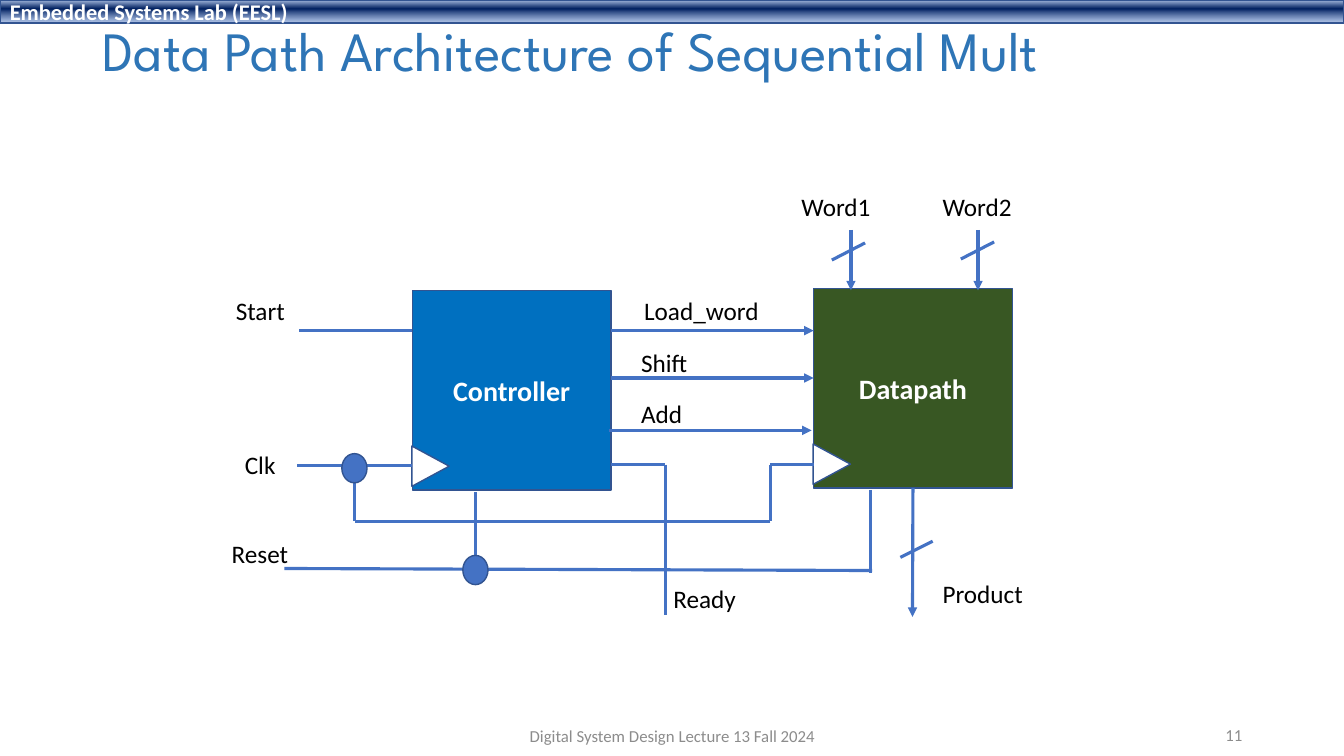
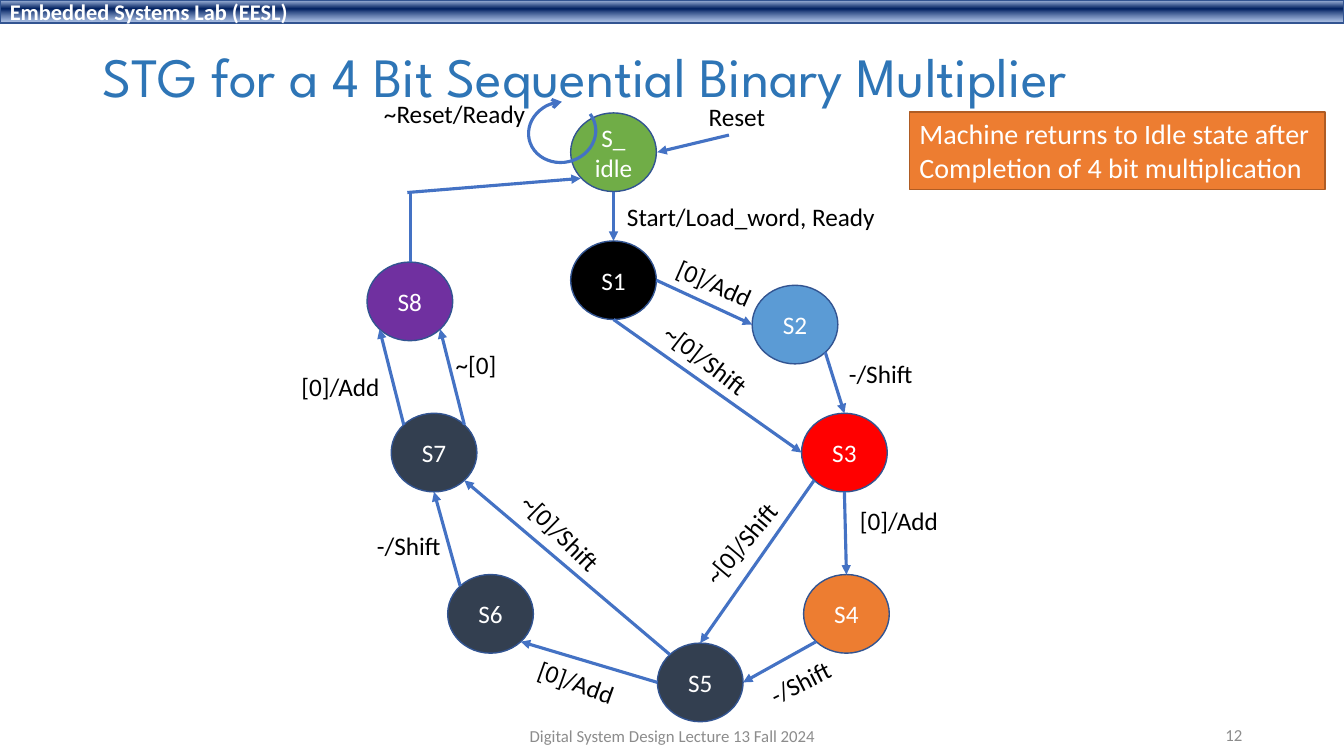
from math import sqrt

from lxml.etree import SubElement
from pptx import Presentation
from pptx.dml.color import RGBColor
from pptx.enum.shapes import MSO_CONNECTOR, MSO_SHAPE
from pptx.enum.text import MSO_ANCHOR, PP_ALIGN
from pptx.oxml import parse_xml
from pptx.oxml.ns import nsdecls, qn
from pptx.util import Pt

PX = 9144
BODY_FONT = "Calibri"
TITLE_FONT = "League Spartan"
WHITE = RGBColor(0xFF, 0xFF, 0xFF)
BLACK = RGBColor(0x00, 0x00, 0x00)
GREY = RGBColor(0x8C, 0x8C, 0x8C)
TITLE_BLUE = RGBColor(0x2E, 0x75, 0xB6)
OUTLINE = RGBColor(0x32, 0x54, 0x91)
WIRE = RGBColor(0x44, 0x72, 0xC4)
CONTROLLER_BLUE = RGBColor(0x00, 0x70, 0xC0)
DATAPATH_GREEN = RGBColor(0x38, 0x57, 0x23)
GREEN = RGBColor(0x70, 0xAD, 0x47)
SKY = RGBColor(0x5B, 0x9B, 0xD5)
RED = RGBColor(0xFF, 0x00, 0x00)
ORANGE = RGBColor(0xED, 0x7D, 0x31)
ORANGE_OUTLINE = RGBColor(0xAF, 0x5C, 0x24)
SLATE = RGBColor(0x33, 0x3F, 0x50)
PURPLE = RGBColor(0x70, 0x30, 0xA0)


def add_text(slide, text, box, preset=None, fill=None, outline=OUTLINE, outline_width=1,
             rotation=0, size=18, color=BLACK, bold=False, font=BODY_FONT,
             align=PP_ALIGN.LEFT, anchor=MSO_ANCHOR.TOP, wrap=False, line_spacing=None):
    left, top, width, height = (value * PX for value in box)
    if preset is None:
        shape = slide.shapes.add_textbox(left, top, width, height)
    else:
        shape = slide.shapes.add_shape(preset, left, top, width, height)
        shape.shadow.inherit = False
        if fill is None:
            shape.fill.background()
        else:
            shape.fill.solid()
            shape.fill.fore_color.rgb = fill
        shape.line.color.rgb = outline
        shape.line.width = Pt(outline_width)
    shape.rotation = rotation
    frame = shape.text_frame
    frame.word_wrap = wrap
    frame.vertical_anchor = anchor
    frame.text = text
    for paragraph in frame.paragraphs:
        paragraph.alignment = align
        paragraph.line_spacing = line_spacing
        for run in paragraph.runs:
            run.font.name = font
            run.font.size = Pt(size)
            run.font.bold = bold
            run.font.color.rgb = color
    return shape


def add_wire(slide, points, arrow=False):
    connector = slide.shapes.add_connector(
        MSO_CONNECTOR.STRAIGHT, *(round(value * PX) for value in points))
    connector.line.color.rgb = WIRE
    connector.line.width = Pt(2.25)
    if arrow:
        SubElement(connector.line._get_or_add_ln(), qn("a:tailEnd"), type="triangle")
    SubElement(connector._element.spPr, qn("a:effectLst"))
    return connector


presentation = Presentation()
presentation.slide_width = 1333 * PX
presentation.slide_height = 750 * PX
blank_layout = presentation.slide_layouts[6]

slides = []
for number, title, title_top, title_height in [
    (11, "Data Path Architecture of Sequential Mult", 15, 77),
    (12, "STG for a 4 Bit Sequential Binary Multiplier", 13, 131),
]:
    slide = presentation.slides.add_slide(blank_layout)
    slides.append(slide)
    add_text(slide, title, (92, title_top, 1150, title_height), size=39.6, color=TITLE_BLUE,
             font=TITLE_FONT, anchor=MSO_ANCHOR.MIDDLE, wrap=True, line_spacing=0.9)
    for text, box, align in [
        ("Digital System Design Lecture 13 Fall 2024", (442, 710, 450, 40), PP_ALIGN.CENTER),
        (str(number), (942, 709, 300, 40), PP_ALIGN.RIGHT),
    ]:
        add_text(slide, text, box, size=12, color=GREY, align=align,
                 anchor=MSO_ANCHOR.MIDDLE, wrap=True)

block_slide, state_slide = slides

band = add_text(block_slide, "Embedded Systems Lab (EESL)", (0, 0, 1333, 23),
                preset=MSO_SHAPE.RECTANGLE, size=16, color=WHITE, bold=True,
                anchor=MSO_ANCHOR.MIDDLE, wrap=True)
band_properties = band._element.spPr
band_properties.replace(band_properties.find(qn("a:noFill")), parse_xml(
    f'<a:gradFill {nsdecls("a")} rotWithShape="1"><a:gsLst>'
    '<a:gs pos="2000"><a:srgbClr val="ABC0E4"/></a:gs>'
    '<a:gs pos="38000"><a:srgbClr val="002060"/></a:gs>'
    '<a:gs pos="93000"><a:srgbClr val="7E9ED6"><a:alpha val="64000"/></a:srgbClr></a:gs>'
    '</a:gsLst><a:lin ang="5400000" scaled="0"/></a:gradFill>'))
band._element.nvSpPr.cNvPr.set("id", "20")
blank_layout.shapes._spTree.append(band._element)

blocks = {}
for name, left, top, fill in [
    ("Controller", 409, 288, CONTROLLER_BLUE),
    ("Datapath", 807, 286, DATAPATH_GREEN),
]:
    blocks[name] = add_text(block_slide, name, (left, top, 197, 198),
                            preset=MSO_SHAPE.RECTANGLE, fill=fill, size=20, color=WHITE,
                            bold=True, align=PP_ALIGN.CENTER, anchor=MSO_ANCHOR.MIDDLE)
    add_text(block_slide, "", (left - 2, top + 156, 40, 37),
             preset=MSO_SHAPE.ISOSCELES_TRIANGLE, fill=WHITE, rotation=90)

for points in [
    (606, 328, 807, 328),
    (606, 375, 807, 375),
    (604, 427, 805, 427),
    (844, 228, 844, 288),
    (970, 228, 970, 288),
]:
    add_wire(block_slide, points, arrow=True)
product_wire = add_wire(block_slide, (905, 484, 905, 612), arrow=True)
product_wire.begin_connect(blocks["Datapath"], 2)

for path_points in [
    [(297, 328), (409, 328)],
    [(409, 462), (295, 462)],
    [(807, 461), (764, 461), (764, 517), (352, 517), (352, 462)],
    [(472, 488), (472, 568)],
    [(863, 486), (863, 568)],
    [(865, 566), (282, 564)],
    [(606, 461), (660, 461), (660, 610)],
    [(825, 258), (858, 241)],
    [(953, 257), (986, 240)],
    [(893, 553), (925, 537)],
]:
    for start, end in zip(path_points, path_points[1:]):
        add_wire(block_slide, start + end)

for left, top in [(339, 450), (459, 551)]:
    add_text(block_slide, "", (left, top, 25, 29), preset=MSO_SHAPE.OVAL, fill=WIRE)

for text, left, top, width in [
    ("Load_word", 629, 288, 135),
    ("Shift", 626, 340, 67),
    ("Add", 626, 390, 61),
    ("Start", 224, 288, 69),
    ("Clk", 233, 441, 51),
    ("Reset", 220, 529, 77),
    ("Word1", 785, 185, 89),
    ("Word2", 925, 185, 89),
    ("Product", 925, 569, 101),
    ("Ready", 658, 574, 83),
]:
    add_text(block_slide, text, (left, top, width, 40))

STATE_WIDTH, STATE_HEIGHT = 85, 78
states = {}
centres = {}
for name, left, top, fill in [
    ("S_\nidle", 566, 112, GREEN),
    ("S1", 566, 239, BLACK),
    ("S2", 746, 283, SKY),
    ("S3", 795, 410, RED),
    ("S4", 797, 570, ORANGE),
    ("S5", 652, 638, SLATE),
    ("S6", 444, 570, SLATE),
    ("S7", 388, 410, SLATE),
    ("S8", 364, 260, PURPLE),
]:
    states[name] = add_text(state_slide, name, (left, top, STATE_WIDTH, STATE_HEIGHT),
                            preset=MSO_SHAPE.OVAL, fill=fill, color=WHITE,
                            align=PP_ALIGN.CENTER, anchor=MSO_ANCHOR.MIDDLE)
    centres[name] = (left + STATE_WIDTH / 2, top + STATE_HEIGHT / 2)

DIAGONAL = sqrt(0.5)
SIDES = {
    "top": (0, -1),
    "bottom": (0, 1),
    "left": (-1, 0),
    "right": (1, 0),
    "top left": (-DIAGONAL, -DIAGONAL),
    "top right": (DIAGONAL, -DIAGONAL),
    "bottom left": (-DIAGONAL, DIAGONAL),
    "bottom right": (DIAGONAL, DIAGONAL),
}
for source, source_side, target, target_side in [
    ("S_\nidle", "bottom", "S1", "top"),
    ("S1", "right", "S2", "left"),
    ("S2", "bottom right", "S3", "top"),
    ("S1", "bottom", "S3", "left"),
    ("S3", "bottom", "S4", "top"),
    ("S3", "bottom left", "S5", "top"),
    ("S4", "bottom left", "S5", "right"),
    ("S5", "left", "S6", "bottom right"),
    ("S6", "top left", "S7", "bottom"),
    ("S5", "top left", "S7", "bottom right"),
    ("S7", "top left", "S8", "bottom left"),
    ("S7", "top right", "S8", "bottom right"),
]:
    points = []
    for state, side in [(source, source_side), (target, target_side)]:
        points.append(centres[state][0] + SIDES[side][0] * STATE_WIDTH / 2)
        points.append(centres[state][1] + SIDES[side][1] * STATE_HEIGHT / 2)
    transition = add_wire(state_slide, points, arrow=True)
    if target_side == "top":
        transition.end_connect(states[target], 0)

add_wire(state_slide, (723, 134, 652, 151), arrow=True)
add_wire(state_slide, (407, 260, 407, 190))
add_wire(state_slide, (404, 191, 576, 177), arrow=True)

idle_loop = add_text(state_slide, "", (524, 101, 67, 60), preset=MSO_SHAPE.ARC,
                     outline=WIRE, outline_width=2.25, rotation=167.3)
for index, degrees in enumerate([159.7, 102.03]):
    idle_loop.adjustments[index] = degrees * 0.6
SubElement(idle_loop.line._get_or_add_ln(), qn("a:tailEnd"), type="arrow")

for text, left, top, width, rotation in [
    ("Reset", 693, 96, 77, 0),
    ("Start/Load_word, Ready", 612, 195, 269, 0),
    ("[0]/Add", 660, 261, 99, 23.9),
    ("-/Shift", 832, 351, 85, 0),
    ("~[0]/Shift", 642, 338, 121, 37.7),
    ("[0]/Add", 843, 496, 99, 0),
    ("-/Shift", 752, 656, 85, 333.2),
    ("~[0]/Shift", 676, 518, 118, 310.1),
    ("[0]/Add", 523, 657, 99, 19.7),
    ("-/Shift", 364, 521, 85, 0),
    ("~[0]/Shift", 498, 509, 118, 44.6),
    ("[0]/Add", 289, 363, 99, 0),
    ("~[0]", 442, 342, 61, 0),
    ("~Reset/Ready", 371, 93, 162, 0),
]:
    add_text(state_slide, text, (left, top, width, 40), rotation=rotation)

add_text(state_slide, "Machine returns to Idle state after\nCompletion of 4 bit multiplication",
         (902, 111, 412, 77), preset=MSO_SHAPE.RECTANGLE, fill=ORANGE,
         outline=ORANGE_OUTLINE, size=20, color=WHITE)

presentation.save("out.pptx")
